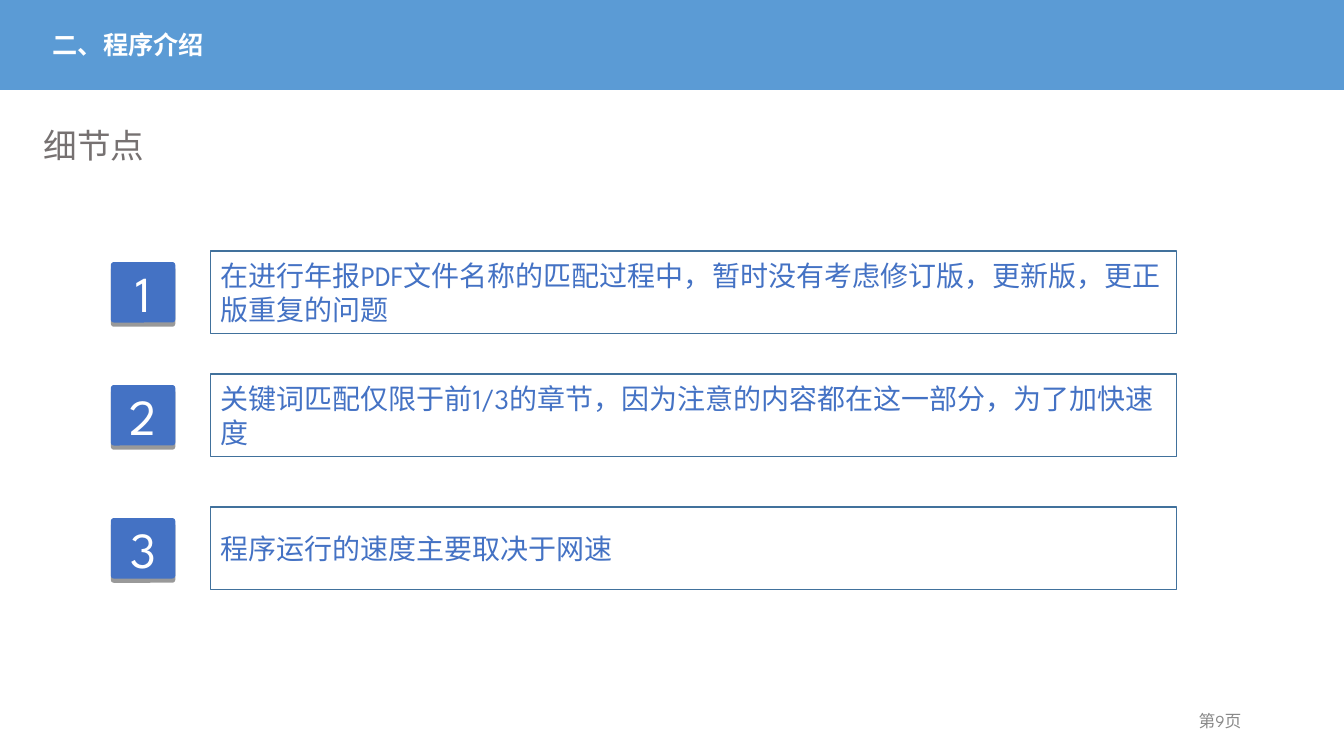
from lxml.etree import SubElement
from pptx import Presentation
from pptx.dml.color import RGBColor
from pptx.enum.shapes import MSO_SHAPE
from pptx.enum.text import MSO_ANCHOR, PP_ALIGN
from pptx.oxml.ns import qn
from pptx.util import Inches, Pt

COLORS = {
    "header": "5B9BD5",
    "accent": "4472C4",
    "outline": "41719C",
    "white": "FFFFFF",
    "subtitle": "767171",
    "footer": "898989",
    "shadow": "000000",
}
LATIN_FONT = "League Spartan"
CHINESE_FONT = "Noto Sans CJK SC"
SLIDE_WIDTH = Inches(13.34)
SLIDE_HEIGHT = Inches(7.5)
COLUMN = SLIDE_WIDTH / 100
ROW = SLIDE_HEIGHT / 100

BOX_HEIGHT = 10.93
BADGE_HEIGHT = 8
DETAILS = [
    (33.2, "在进行年报PDF文件名称的匹配过程中，暂时没有考虑修订版，更新版，更正版重复的问题"),
    (49.47, "关键词匹配仅限于前1/3的章节，因为注意的内容都在这一部分，为了加快速度"),
    (67.07, "程序运行的速度主要取决于网速"),
]


def color(name):
    return RGBColor.from_string(COLORS[name])


def place(left, top, width, height):
    return (round(left * COLUMN), round(top * ROW),
            round(width * COLUMN), round(height * ROW))


def write(shape, text, size, color_name, font=LATIN_FONT, bold=False,
          align=PP_ALIGN.LEFT, anchor=MSO_ANCHOR.MIDDLE, inset=0.1):
    frame = shape.text_frame
    frame.word_wrap = True
    frame.vertical_anchor = anchor
    frame.margin_left = Inches(inset)
    paragraph = frame.paragraphs[0]
    paragraph.alignment = align
    run = paragraph.add_run()
    run.text = text
    run.font.size = Pt(size)
    run.font.bold = bold
    run.font.color.rgb = color(color_name)
    run.font.name = font
    SubElement(run.font._element, qn("a:ea"), typeface=CHINESE_FONT)
    return paragraph


def add_label(slide, area, text, size, color_name, **style):
    text_box = slide.shapes.add_textbox(*place(*area))
    return write(text_box, text, size, color_name, **style)


def add_block(slide, kind, area, fill=None, outline=None):
    shape = slide.shapes.add_shape(kind, *place(*area))
    shape.shadow.inherit = False
    if fill:
        shape.fill.solid()
        shape.fill.fore_color.rgb = color(fill)
    else:
        shape.fill.background()
    if outline:
        shape.line.color.rgb = color(outline)
        shape.line.width = Pt(1)
    else:
        shape.line.fill.background()
    return shape


def drop_shadow(shape):
    effects = shape._element.spPr.find(qn("a:effectLst"))
    shadow = SubElement(effects, qn("a:outerShdw"), dist=str(Pt(3)),
                        dir="5400000", algn="t", rotWithShape="0")
    tint = SubElement(shadow, qn("a:srgbClr"), val=COLORS["shadow"])
    SubElement(tint, qn("a:alpha"), val="40000")


def add_detail(slide, number, top, text):
    box = add_block(slide, MSO_SHAPE.RECTANGLE,
                    (15.67, top, 71.89, BOX_HEIGHT), outline="outline")
    write(box, text, 20, "accent")
    badge_top = top + (BOX_HEIGHT - BADGE_HEIGHT) / 2
    badge = add_block(slide, MSO_SHAPE.ROUNDED_RECTANGLE,
                      (8.25, badge_top, 4.8, BADGE_HEIGHT), fill="accent")
    badge.adjustments[0] = 0.05
    drop_shadow(badge)
    write(badge, str(number), 36, "white", align=PP_ALIGN.CENTER)


def main():
    presentation = Presentation()
    presentation.slide_width = SLIDE_WIDTH
    presentation.slide_height = SLIDE_HEIGHT
    slide = presentation.slides.add_slide(presentation.slide_layouts[6])

    add_block(slide, MSO_SHAPE.RECTANGLE, (0, 0, 100, 11.9), fill="header")
    add_label(slide, (1, 3.2, 64.84, 5.33), "二、程序介绍", 18, "white",
              font=CHINESE_FONT, bold=True, anchor=MSO_ANCHOR.TOP, inset=0.39)
    subtitle = add_label(slide, (1, 14.27, 55.4, 8.27), "细节点", 24, "subtitle",
                         font=CHINESE_FONT, anchor=MSO_ANCHOR.TOP, inset=0.3)
    subtitle.line_spacing = 1.3
    for number, (top, text) in enumerate(DETAILS, start=1):
        add_detail(slide, number, top, text)
    add_label(slide, (70.61, 92.67, 22.49, 5.33), "第9页", 12, "footer",
              align=PP_ALIGN.RIGHT)

    presentation.save("out.pptx")


if __name__ == "__main__":
    main()
